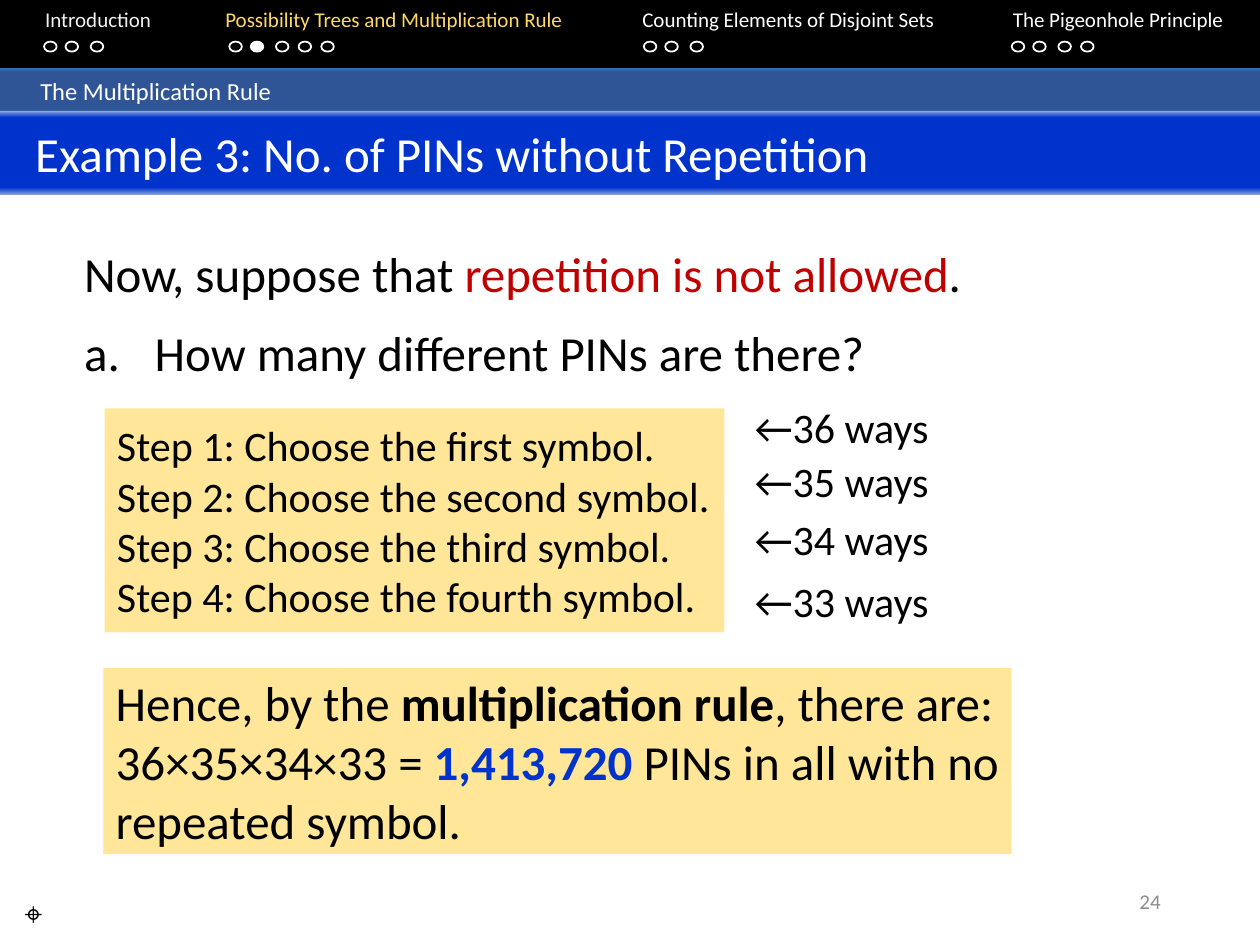
from copy import deepcopy

from pptx import Presentation
from pptx.dml.color import RGBColor
from pptx.enum.shapes import MSO_SHAPE as Shape
from pptx.enum.text import MSO_ANCHOR as Anchor, PP_ALIGN as Align
from pptx.oxml.ns import qn
from pptx.oxml.xmlchemy import OxmlElement
from pptx.util import Inches, Pt

WIDTH, HEIGHT = 10, 7.5
FONT = "Calibri"
BLACK, WHITE, GOLD, RED = "000000", "FFFFFF", "FFD966", "C00000"
BLUE, NAVY, SAND = "0033CC", "2F5597", "FFE699"
INSET = 0.1
DOT_OFFSETS = (0, 0.17, 0.37, 0.55, 0.73)

# Section name, text colour, left of its dots, number of dots, filled dot
SECTIONS = [
    ("Introduction", "F2F2F2", 0.35, 3, None),
    ("Possibility Trees and Multiplication Rule", GOLD, 1.82, 5, 1),
    ("Counting Elements of Disjoint Sets", WHITE, 5.11, 3, None),
    ("The Pigeonhole Principle", WHITE, 8.03, 4, None),
]
HEADING_TABS = (0.26, 1.69, 5.0, 7.94)


def color(value):
    return RGBColor.from_string(value)


def write(shape, paragraphs, size, anchor=Anchor.TOP, align=Align.LEFT, left=INSET):
    """Each paragraph is a list of (text, colour, bold) runs."""
    frame = shape.text_frame
    frame.word_wrap = True
    frame.vertical_anchor = anchor
    frame.margin_left = Inches(left)
    for index, runs in enumerate(paragraphs):
        paragraph = frame.add_paragraph() if index else frame.paragraphs[0]
        paragraph.alignment = align
        for text, run_color, bold in runs:
            run = paragraph.add_run()
            run.text = text
            run.font.name = FONT
            run.font.size = Pt(size)
            run.font.bold = bold
            run.font.color.rgb = color(run_color)


def add_text(slide, box, paragraphs, size, **options):
    shape = slide.shapes.add_textbox(*map(Inches, box))
    write(shape, paragraphs, size, **options)
    return shape


def add_block(slide, box, fill=None, kind=Shape.RECTANGLE):
    shape = slide.shapes.add_shape(kind, *map(Inches, box))
    shape.shadow.inherit = False
    shape.line.fill.background()
    if fill:
        shape.fill.solid()
        shape.fill.fore_color.rgb = color(fill)
    else:
        shape.fill.background()
    return shape


def add_gradient_band(slide, top, height, edge, middle, start, end):
    shape = add_block(slide, (0, top, WIDTH, height))
    shape.fill.gradient()
    shape.fill.gradient_angle = 90
    stop_list = shape.fill.gradient_stops[0]._gs.getparent()
    stop_list.extend([deepcopy(stop) for stop in stop_list])
    positions = (0, start, end, 1)
    colors = (edge, middle, middle, edge)
    for stop, position, value in zip(shape.fill.gradient_stops, positions, colors):
        stop.position = position
        stop.color.rgb = color(value)
    return shape


def add_dots(slide, left, count, filled):
    for index, offset in enumerate(DOT_OFFSETS[:count]):
        box = (left + offset, 0.33, 0.1, 0.08)
        dot = add_block(slide, box, WHITE if index == filled else None, Shape.OVAL)
        dot.line.color.rgb = color(WHITE)
        dot.line.width = Pt(1)


def set_tabs(paragraph, positions):
    tabs = OxmlElement("a:tabLst")
    for position in positions:
        tab = OxmlElement("a:tab")
        tab.set("pos", str(Inches(position)))
        tab.set("algn", "l")
        tabs.append(tab)
    paragraph._p.get_or_add_pPr().append(tabs)


def set_letter(paragraph, indent):
    properties = paragraph._p.get_or_add_pPr()
    properties.set("marL", str(Inches(indent)))
    properties.set("indent", str(-Inches(indent)))
    number = OxmlElement("a:buAutoNum")
    number.set("type", "alphaLcPeriod")
    properties.append(number)


def add_navigation(slide):
    add_block(slide, (0, -0.02, WIDTH, 0.56), BLACK)
    headings = [("\t" + name, tint, False) for name, tint, *_ in SECTIONS]
    bar = add_text(slide, (0, 0, WIDTH, 0.5), [headings], 12)
    set_tabs(bar.text_frame.paragraphs[0], HEADING_TABS)
    for _, _, left, count, filled in SECTIONS:
        add_dots(slide, left, count, filled)


def add_titles(slide):
    band = add_gradient_band(slide, 0.54, 0.36, "2E75B6", NAVY, 0.11, 0.91)
    write(band, [[("The Multiplication Rule", WHITE, False)]], 14,
          anchor=Anchor.MIDDLE, left=0.32)
    title = add_gradient_band(slide, 0.88, 0.67, "8FAADC", BLUE, 0.09, 0.92)
    write(title, [[("Example 3: No. of PINs without Repetition", WHITE, False)]], 28,
          anchor=Anchor.MIDDLE, left=0.28)


def add_question(slide):
    add_text(slide, (0.57, 1.88, 8.74, 0.57), [[
        ("Now, suppose that ", BLACK, False),
        ("repetition is not allowed", RED, False),
        (".", BLACK, False),
    ]], 28)
    question = add_text(slide, (0.57, 2.51, 8.74, 0.57),
                        [[("How many different PINs are there?", BLACK, False)]], 28)
    set_letter(question.text_frame.paragraphs[0], 0.56)


def add_answer(slide):
    # Steps and the number of ways for each
    steps = [[(f"Step {number}: Choose the {order} symbol.", BLACK, False)]
             for number, order in enumerate(("first", "second", "third", "fourth"), 1)]
    write(add_block(slide, (0.83, 3.24, 4.92, 1.78), SAND), steps, 24,
          anchor=Anchor.MIDDLE)
    for index, top in enumerate((3.14, 3.57, 4.03, 4.52)):
        add_text(slide, (5.89, top, 1.75, 0.5),
                 [[(f"←{36 - index} ways", BLACK, False)]], 24)

    # Conclusion
    conclusion = add_block(slide, (0.82, 5.3, 7.21, 1.48), SAND)
    write(conclusion, [
        [("Hence, by the ", BLACK, False),
         ("multiplication rule", BLACK, True),
         (", there are:", BLACK, False)],
        [("36×35×34×33 = ", BLACK, False),
         ("1,413,720", BLUE, True),
         (" PINs in all with no repeated symbol.", BLACK, False)],
    ], 28, anchor=Anchor.MIDDLE)


def add_footer(slide):
    add_text(slide, (7.06, 6.95, 2.25, 0.4), [[("24", "8C8C8C", False)]], 12,
             anchor=Anchor.MIDDLE, align=Align.RIGHT)
    add_text(slide, (-0.04, 7.05, 0.61, 0.4), [[("⌖", BLACK, False)]], 18,
             align=Align.CENTER)


def main():
    presentation = Presentation()
    presentation.slide_width = Inches(WIDTH)
    presentation.slide_height = Inches(HEIGHT)
    slide = presentation.slides.add_slide(presentation.slide_layouts[6])
    add_navigation(slide)
    add_titles(slide)
    add_question(slide)
    add_answer(slide)
    add_footer(slide)
    presentation.save("out.pptx")


if __name__ == "__main__":
    main()
